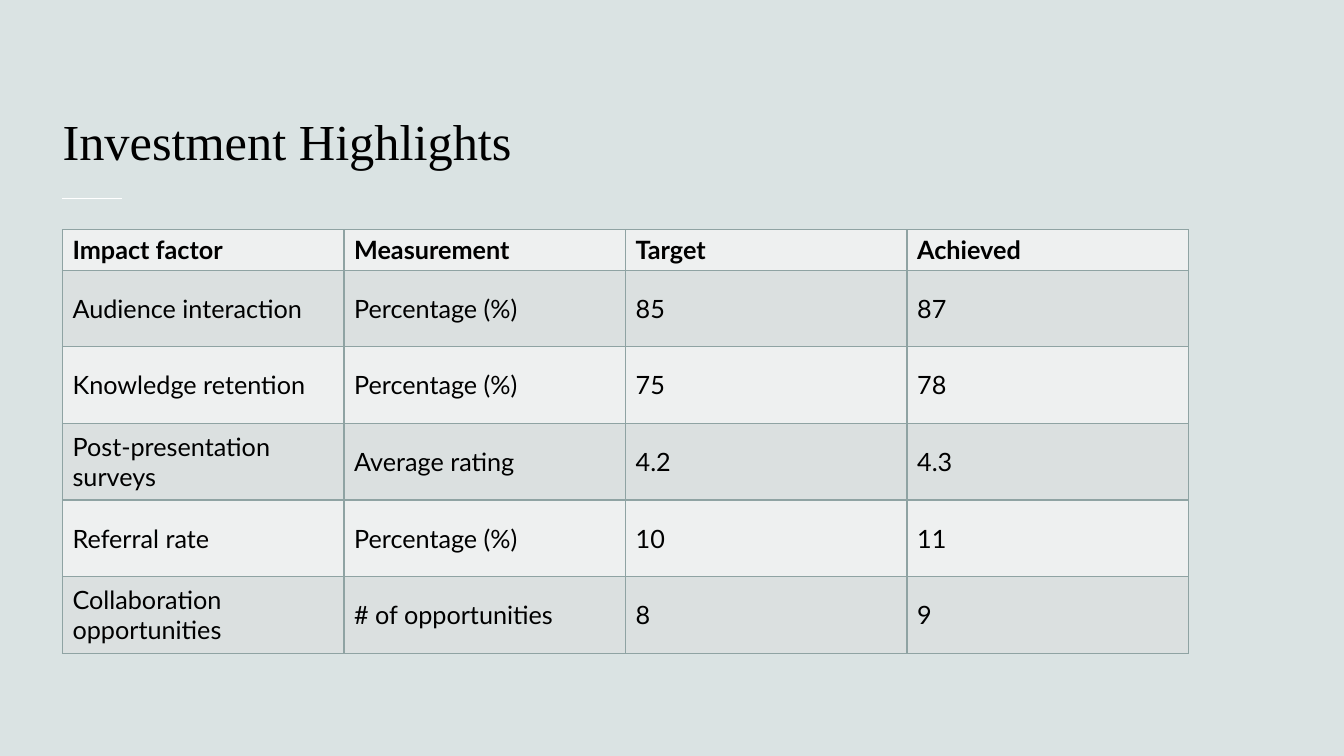
from dataclasses import dataclass

from lxml.etree import SubElement
from pptx import Presentation
from pptx.dml.color import RGBColor
from pptx.enum.shapes import MSO_CONNECTOR
from pptx.enum.text import MSO_ANCHOR, PP_ALIGN
from pptx.oxml.ns import qn
from pptx.util import Inches, Pt


@dataclass(frozen=True)
class Theme:
    back: str = "DAE3E3"
    ink: str = "000000"
    rule: str = "FFFFFF"
    edge: str = "8FA3A3"
    bands: tuple = ("EEF0F0", "DBE0E0")
    head: str = "Times New Roman"
    body: str = "Lato"
    big: int = 36
    small: int = 18


theme = Theme()


def add_run(frame, text, face, size, bold=False):
    run = frame.paragraphs[0].add_run()
    run.text = text
    run.font.name = face
    run.font.size = Pt(size)
    run.font.bold = bold
    run.font.color.rgb = RGBColor.from_string(theme.ink)


def add_edges(cell):
    props = cell._tc.get_or_add_tcPr()
    for side in ("lnL", "lnR", "lnT", "lnB"):
        line = SubElement(props, qn(f"a:{side}"), w=str(Pt(1)))
        fill = SubElement(line, qn("a:solidFill"))
        SubElement(fill, qn("a:srgbClr"), val=theme.edge)


# Slide and background
deck = Presentation()
deck.slide_width = Inches(13.33)
deck.slide_height = Inches(7.5)
slide = deck.slides.add_slide(deck.slide_layouts[5])
slide.background.fill.solid()
slide.background.fill.fore_color.rgb = RGBColor.from_string(theme.back)
left = Inches(0.62)

# Short rule under the title
rule = slide.shapes.add_connector(
    MSO_CONNECTOR.STRAIGHT, left, Inches(1.97), Inches(1.21), Inches(1.97))
rule.line.color.rgb = RGBColor.from_string(theme.rule)
rule.line.width = Pt(1)
SubElement(rule._element.spPr, qn("a:effectLst"))

# Title
title = slide.shapes.title
title.left, title.top = left, Inches(0.44)
title.width, title.height = Inches(12.08), Inches(1.3)
frame = title.text_frame
frame.margin_left = 0
frame.vertical_anchor = MSO_ANCHOR.BOTTOM
frame.paragraphs[0].alignment = PP_ALIGN.LEFT
add_run(frame, "Investment Highlights", theme.head, theme.big)

# Table of impact factors
rows = [
    ("Impact factor", "Measurement", "Target", "Achieved"),
    ("Audience interaction", "Percentage (%)", "85", "87"),
    ("Knowledge retention", "Percentage (%)", "75", "78"),
    ("Post-presentation surveys", "Average rating", "4.2", "4.3"),
    ("Referral rate", "Percentage (%)", "10", "11"),
    ("Collaboration opportunities", "# of opportunities", "8", "9"),
]
table = slide.shapes.add_table(
    len(rows), len(rows[0]), left, Inches(2.28), Inches(11.17), Inches(4.16)).table
for r, row in enumerate(rows):
    table.rows[r].height = Inches(0.76 if r else 0.36)
    for c, text in enumerate(row):
        cell = table.cell(r, c)
        add_edges(cell)
        cell.fill.solid()
        cell.fill.fore_color.rgb = RGBColor.from_string(theme.bands[r % 2])
        cell.vertical_anchor = MSO_ANCHOR.MIDDLE
        add_run(cell.text_frame, text, theme.body, theme.small, bold=r == 0)

deck.save("out.pptx")
